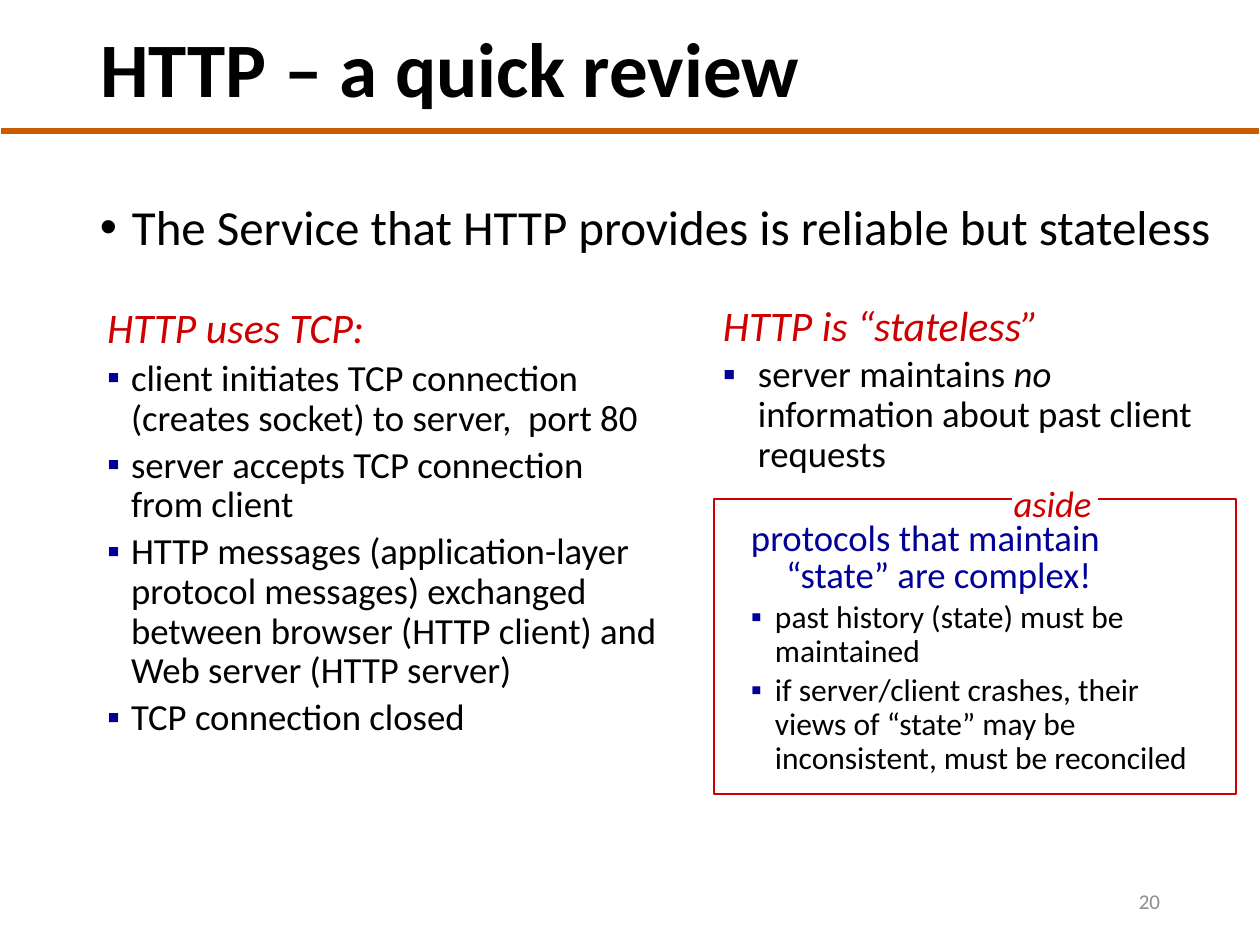
from lxml.etree import SubElement
from pptx import Presentation
from pptx.dml.color import RGBColor
from pptx.enum.shapes import MSO_CONNECTOR, MSO_SHAPE
from pptx.enum.text import MSO_ANCHOR, PP_ALIGN
from pptx.oxml.ns import qn
from pptx.util import Emu, Pt

BLACK = RGBColor(0x00, 0x00, 0x00)
WHITE = RGBColor(0xFF, 0xFF, 0xFF)
GRAY = RGBColor(0x8C, 0x8C, 0x8C)
RED = RGBColor(0xCC, 0x00, 0x00)
NAVY = RGBColor(0x00, 0x00, 0x99)
ORANGE = RGBColor(0xC9, 0x5B, 0x00)
FONT = "Calibri"
SLIDE_WIDTH, SLIDE_HEIGHT = 1260, 945

# Paragraph styles; indent is the hanging indent in px, before is in points
TITLE = dict(size=44, color=BLACK, bold=True, spacing=0.9)
LEAD = dict(size=28, color=BLACK, bullet="•", indent=32, spacing=0.9)
HEADING = dict(size=24, color=RED, italic=True, indent=35, spacing=0.9)
TIGHT_HEADING = dict(HEADING, spacing=0.75)
ITEM = dict(size=21, color=BLACK, bullet="▪", bullet_color=NAVY,
            indent=24, spacing=0.9, before=4.2)
WIDE_ITEM = dict(ITEM, indent=35)
ASIDE_HEADING = dict(size=21, color=NAVY, indent=35, spacing=0.85)
ASIDE_ITEM = dict(ITEM, size=18, before=3)
ASIDE_LABEL = dict(size=21, color=RED, italic=True, align=PP_ALIGN.CENTER)
PAGE_NUMBER = dict(size=12, color=GRAY, align=PP_ALIGN.RIGHT)

# Text is a list of (style, runs); a run in a tuple is italic
HEADER = [(TITLE, ["HTTP – a quick review"])]
STATEMENT = [(LEAD, ["The Service that HTTP provides is reliable but stateless"])]
TCP_COLUMN = [
    (HEADING, ["HTTP uses TCP:"]),
    (ITEM, ["client initiates TCP connection (creates socket) to server,  port 80"]),
    (ITEM, ["server accepts TCP connection from client"]),
    (ITEM, ["HTTP messages (application-layer protocol messages) exchanged "
            "between browser (HTTP client) and Web server (HTTP server)"]),
    (ITEM, ["TCP connection closed"]),
]
STATELESS_COLUMN = [
    (TIGHT_HEADING, ["HTTP is “stateless”"]),
    (WIDE_ITEM, ["server maintains", (" no ",),
                 "information about past client requests"]),
]
ASIDE = [
    (ASIDE_HEADING, ["protocols that maintain “state” are complex!"]),
    (ASIDE_ITEM, ["past history (state) must be maintained"]),
    (ASIDE_ITEM, ["if server/client crashes, their views of “state” may be "
                  "inconsistent, must be reconciled"]),
]
LABEL = [(ASIDE_LABEL, ["aside"])]
NUMBER = [(PAGE_NUMBER, ["20"])]

DEFAULT_INSETS = (13, 6)
COLUMN_INSETS = (9, 5)


def px(length):
    return Emu(round(length * 914400 / 126))


def add_bullet(properties, character, color):
    if color is not None:
        bullet_color = SubElement(properties, qn("a:buClr"))
        SubElement(bullet_color, qn("a:srgbClr"), val=str(color))
    SubElement(properties, qn("a:buFont"), typeface="Arial")
    SubElement(properties, qn("a:buChar"), char=character)


def write_paragraph(paragraph, style, runs):
    properties = paragraph._p.get_or_add_pPr()
    indent = px(style.get("indent", 0))
    properties.set("marL", str(indent))
    properties.set("indent", str(-indent))
    if "bullet" in style:
        add_bullet(properties, style["bullet"], style.get("bullet_color"))
    paragraph.alignment = style.get("align", PP_ALIGN.LEFT)
    paragraph.line_spacing = style.get("spacing", 1.0)
    paragraph.space_before = Pt(style.get("before", 0))
    font = paragraph.font
    font.name = FONT
    font.size = Pt(style["size"])
    font.color.rgb = style["color"]
    font.bold = style.get("bold", False)
    font.italic = style.get("italic", False)
    for content in runs:
        run = paragraph.add_run()
        if isinstance(content, tuple):
            run.text = content[0]
            run.font.italic = True
        else:
            run.text = content


def add_text(slide, box, content, insets=DEFAULT_INSETS,
             anchor=MSO_ANCHOR.TOP, wrap=True):
    frame = slide.shapes.add_textbox(*map(px, box)).text_frame
    frame.word_wrap = wrap
    frame.vertical_anchor = anchor
    frame.margin_left = frame.margin_right = px(insets[0])
    frame.margin_top = frame.margin_bottom = px(insets[1])
    for index, (style, runs) in enumerate(content):
        paragraph = frame.add_paragraph() if index else frame.paragraphs[0]
        write_paragraph(paragraph, style, runs)


def add_rectangle(slide, box, line_color=None):
    shape = slide.shapes.add_shape(MSO_SHAPE.RECTANGLE, *map(px, box))
    shape.shadow.inherit = False
    shape.fill.solid()
    shape.fill.fore_color.rgb = WHITE
    if line_color is None:
        shape.line.fill.background()
    else:
        shape.line.color.rgb = line_color
        shape.line.width = Pt(1.5)


def add_rule(slide, left, right, y):
    rule = slide.shapes.add_connector(
        MSO_CONNECTOR.STRAIGHT, px(left), px(y), px(right), px(y))
    rule.line.color.rgb = ORANGE
    rule.line.width = Pt(3)
    SubElement(rule._element.spPr, qn("a:effectLst"))


def main():
    presentation = Presentation()
    presentation.slide_width = px(SLIDE_WIDTH)
    presentation.slide_height = px(SLIDE_HEIGHT)
    slide = presentation.slides.add_slide(presentation.slide_layouts[6])

    add_rule(slide, 1, SLIDE_WIDTH - 1, 131)
    add_text(slide, (87, 19, 999, 107), HEADER, anchor=MSO_ANCHOR.MIDDLE)
    add_text(slide, (87, 197, 1149, 96), STATEMENT)
    add_text(slide, (890, 876, 283, 50), NUMBER, anchor=MSO_ANCHOR.MIDDLE)
    add_text(slide, (98, 302, 573, 480), TCP_COLUMN, COLUMN_INSETS)
    add_text(slide, (714, 306, 522, 176), STATELESS_COLUMN, COLUMN_INSETS)

    add_rectangle(slide, (714, 499, 522, 295), RED)
    add_rectangle(slide, (1012, 483, 86, 30))
    add_text(slide, (738, 515, 471, 295), ASIDE)
    add_text(slide, (1000, 475, 105, 57), LABEL, wrap=False)

    presentation.save("out.pptx")


if __name__ == "__main__":
    main()
